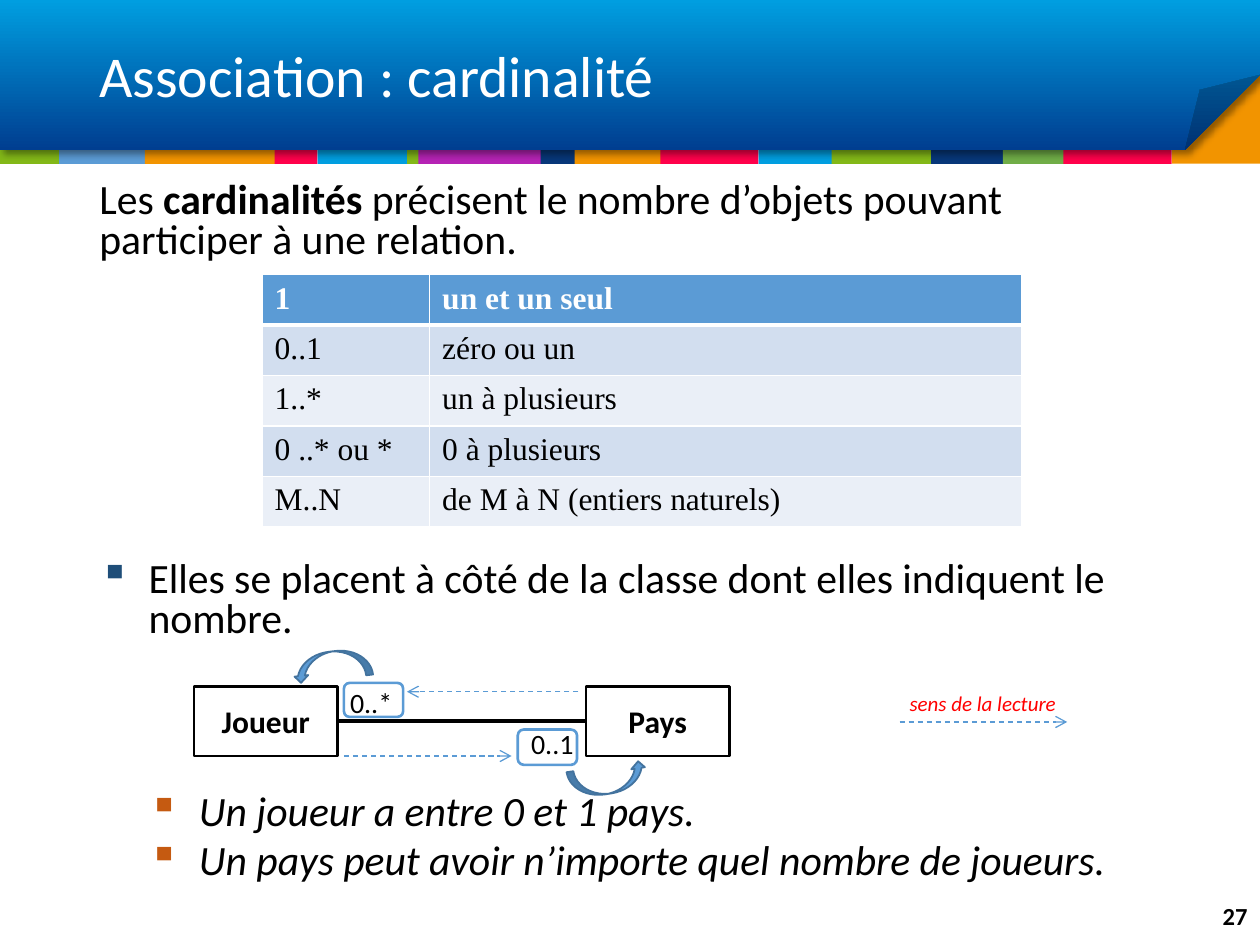
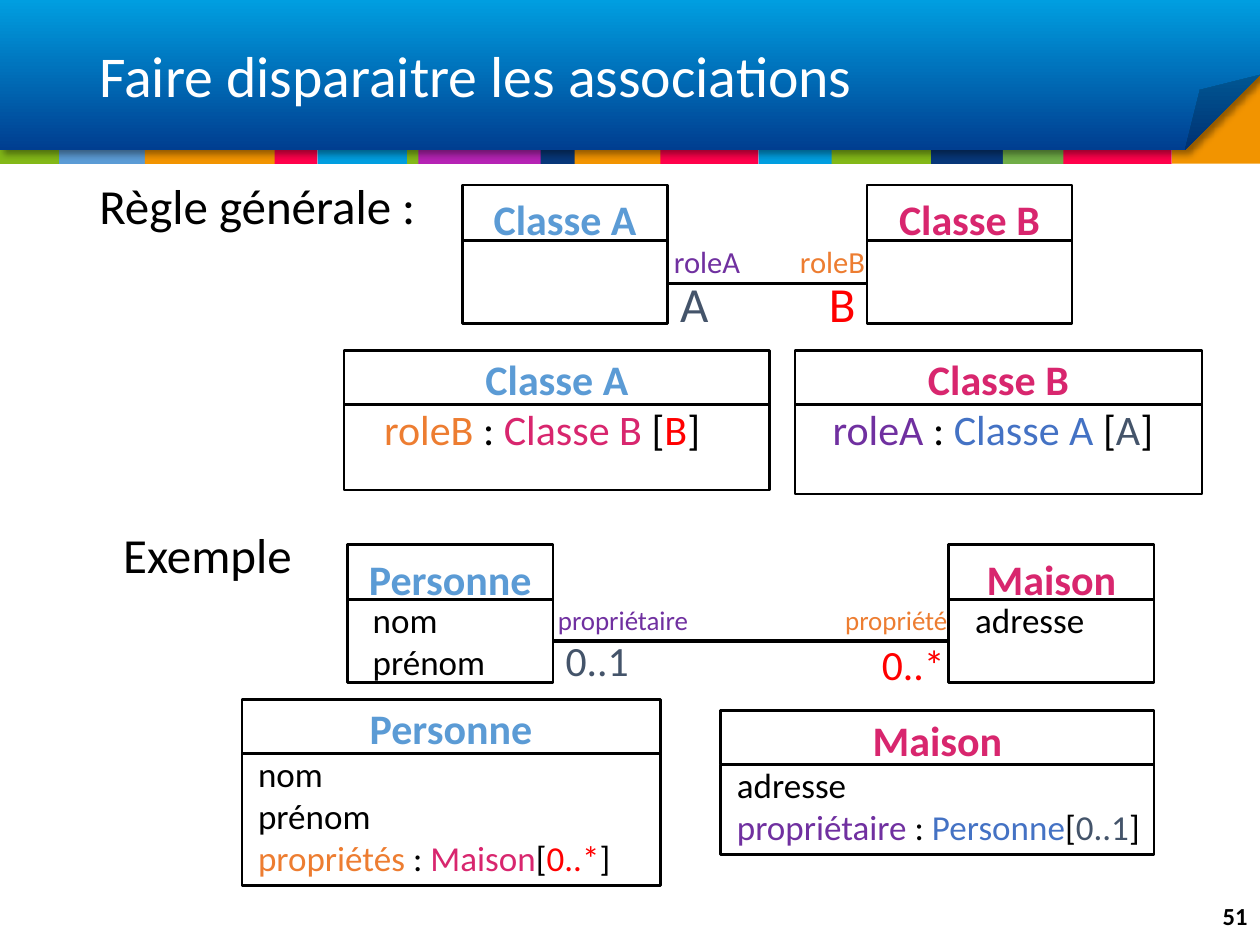
from dataclasses import dataclass

from lxml.etree import SubElement
from pptx import Presentation
from pptx.dml.color import RGBColor
from pptx.enum.dml import MSO_LINE
from pptx.enum.shapes import MSO_CONNECTOR, MSO_SHAPE
from pptx.enum.text import MSO_ANCHOR, PP_ALIGN
from pptx.oxml.ns import qn
from pptx.util import Inches, Pt


@dataclass(frozen=True)
class Theme:
    font: str = "Calibri"
    table_font: str = "Times New Roman"
    black: str = "000000"
    white: str = "FFFFFF"
    red: str = "FF0000"
    sky: str = "5B9BD5"
    sky_edge: str = "43739E"
    pink: str = "D8266E"
    purple: str = "7030A0"
    orange: str = "ED7D31"
    blue: str = "4472C4"
    slate: str = "44546A"
    navy_bullet: str = "1F4E79"
    rust_bullet: str = "C55A11"
    row_dark: str = "D2DEEF"
    row_light: str = "EAEFF7"
    banner_top: str = "009EE0"
    banner_bottom: str = "003E90"
    band_green: str = "83B818"
    band_orange: str = "F29400"
    band_red: str = "FF014B"
    band_purple: str = "B523B4"
    band_navy: str = "073779"
    band_leaf: str = "70AD47"
    title: float = 33
    heading: float = 28
    body: float = 23.8
    class_name: float = 24
    attribute: float = 20
    label: float = 18
    role: float = 17.5
    small_role: float = 15.4
    cardinality: float = 16
    page: float = 14
    caption: float = 12


T = Theme()


def add_text(slide, box, paragraphs, size, align=PP_ALIGN.LEFT, bold=False, italic=False,
             spacing=None, gap=0, anchor=MSO_ANCHOR.TOP, bullet=None):
    """Each paragraph is a list of (text, colour) or (text, colour, bold) runs;
    bullet is (left indent, hanging indent, colour)."""
    frame = slide.shapes.add_textbox(*map(Inches, box)).text_frame
    frame.word_wrap = True
    frame.vertical_anchor = anchor
    for index, runs in enumerate(paragraphs):
        paragraph = frame.paragraphs[0] if index == 0 else frame.add_paragraph()
        if bullet:
            left, hanging, bullet_color = bullet
            props = paragraph._p.get_or_add_pPr()
            props.set("marL", str(Inches(left)))
            props.set("indent", str(-Inches(hanging)))
            SubElement(SubElement(props, qn("a:buClr")), qn("a:srgbClr"), val=bullet_color)
            SubElement(props, qn("a:buChar"), char="▪")
        paragraph.alignment = align
        if spacing:
            paragraph.line_spacing = spacing
        if index and gap:
            paragraph.space_before = Pt(gap)
        for text, color, *strong in runs:
            run = paragraph.add_run()
            run.text = text
            run.font.name = T.font
            run.font.size = Pt(size)
            run.font.bold = bold or bool(strong)
            run.font.italic = italic
            run.font.color.rgb = RGBColor.from_string(color)


def add_shape(slide, kind, box, fill=None, line=None, width=1.5, rotation=0):
    shape = slide.shapes.add_shape(kind, *map(Inches, box))
    shape.shadow.inherit = False
    shape.rotation = rotation
    if fill:
        shape.fill.solid()
        shape.fill.fore_color.rgb = RGBColor.from_string(fill)
    else:
        shape.fill.background()
    if line:
        shape.line.color.rgb = RGBColor.from_string(line)
        shape.line.width = Pt(width)
    else:
        shape.line.fill.background()
    return shape


deck = Presentation()
deck.slide_width, deck.slide_height = Inches(10), Inches(7.5)
blank = deck.slide_layouts[6]
cardinality = deck.slides.add_slide(blank)
associations = deck.slides.add_slide(blank)

# Shared header, title and page number
bands = [
    (2.97, 0.51, T.band_green), (0, 0.51, T.band_green), (0.47, 0.69, T.sky),
    (1.15, 1.1, T.band_orange), (2.18, 0.34, T.band_red), (2.52, 0.71, T.banner_top),
    (3.32, 1.01, T.band_purple), (4.29, 0.28, T.band_navy), (4.56, 0.71, T.band_orange),
    (5.24, 0.78, T.band_red), (6.02, 0.61, T.banner_top), (6.6, 0.91, T.band_green),
    (7.39, 0.58, T.band_navy), (7.96, 0.5, T.band_leaf), (8.44, 0.86, T.band_red),
]
for slide, title, page in [(cardinality, "Association : cardinalité", "27"),
                           (associations, "Faire disparaitre les associations", "51")]:
    for left, width, color in bands:
        add_shape(slide, MSO_SHAPE.RECTANGLE, (left, 0.81, width, 0.49), color)
    add_shape(slide, MSO_SHAPE.RECTANGLE, (9.3, 0.47, 0.7, 0.83), T.band_orange)

    banner = add_shape(slide, MSO_SHAPE.FOLDED_CORNER, (0, 0, 10, 1.19))
    banner_props = banner._element.spPr
    fold = banner_props.find(qn("a:prstGeom")).get_or_add_avLst()
    SubElement(fold, qn("a:gd"), name="adj", fmla="val 50000")
    banner.fill.gradient()
    banner.fill.gradient_angle = 270
    for stop, color in zip(banner.fill.gradient_stops, (T.banner_top, T.banner_bottom)):
        stop.color.rgb = RGBColor.from_string(color)
    shadow = SubElement(banner_props.find(qn("a:effectLst")), qn("a:outerShdw"),
                        blurRad=str(Pt(4)), dist=str(Pt(3)),
                        dir="2700000", algn="tl", rotWithShape="0")
    shade = SubElement(shadow, qn("a:srgbClr"), val=T.black)
    SubElement(shade, qn("a:alpha"), val="40000")

    add_text(slide, (0.69, 0.25, 8.62, 0.75), [[(title, T.white)]], T.title,
             spacing=0.9, anchor=MSO_ANCHOR.MIDDLE)
    add_text(slide, (9.31, 7.07, 0.69, 0.4), [[(page, T.black)]], T.page,
             PP_ALIGN.RIGHT, bold=True, anchor=MSO_ANCHOR.MIDDLE)

# Cardinality: definition and rules
add_text(cardinality, (0.69, 1.4, 8.62, 0.75), [[
    ("Les ", T.black), ("cardinalités ", T.black, True),
    ("précisent le nombre d’objets pouvant participer à une relation.", T.black),
]], T.body, spacing=0.8)
add_text(cardinality, (0.69, 4.41, 8.62, 0.75), [[
    ("Elles se placent à côté de la classe dont elles indiquent le nombre.", T.black),
]], T.body, spacing=0.8, bullet=(0.39, 0.39, T.navy_bullet))
add_text(cardinality, (0.69, 6.26, 8.62, 0.85), [
    [("Un joueur a entre 0 et 1 pays.", T.black)],
    [("Un pays peut avoir n’importe quel nombre de joueurs.", T.black)],
], T.body, italic=True, spacing=0.8, gap=4.76, bullet=(0.79, 0.4, T.rust_bullet))

# Cardinality: notation table
notations = [
    ("1", "un et un seul"),
    ("0..1", "zéro ou un"),
    ("1..*", "un à plusieurs"),
    ("0 ..* ou *", "0 à plusieurs"),
    ("M..N", "de M à N (entiers naturels)"),
]
notation_table = cardinality.shapes.add_table(
    len(notations), 2, Inches(2.08), Inches(2.18), Inches(6.03), Inches(2)).table
for column, width in zip(notation_table.columns, (1.33, 4.7)):
    column.width = Inches(width)
for row, texts in enumerate(notations):
    notation_table.rows[row].height = Inches(0.4)
    row_fill = T.sky if row == 0 else (T.row_light, T.row_dark)[row % 2]
    for col, text in enumerate(texts):
        cell = notation_table.cell(row, col)
        cell_props = cell._tc.get_or_add_tcPr()
        for side in "LRTB":
            thick = (row, side) in ((0, "B"), (1, "T"))
            border = SubElement(cell_props, qn(f"a:ln{side}"), w=str(Pt(3 if thick else 1)))
            SubElement(SubElement(border, qn("a:solidFill")), qn("a:srgbClr"), val=T.white)
        cell.fill.solid()
        cell.fill.fore_color.rgb = RGBColor.from_string(row_fill)
        run = cell.text_frame.paragraphs[0].add_run()
        run.text = text
        run.font.name = T.table_font
        run.font.size = Pt(T.label)
        run.font.bold = row == 0
        run.font.color.rgb = RGBColor.from_string(T.white if row == 0 else T.black)

# Cardinality: player and country diagram
for name, left in [("Joueur", 1.54), ("Pays", 4.65)]:
    add_shape(cardinality, MSO_SHAPE.RECTANGLE, (left, 5.45, 1.14, 0.55), line=T.black)
    add_text(cardinality, (left, 5.52, 1.14, 0.4), [[(name, T.black)]], T.label,
             PP_ALIGN.CENTER, bold=True)
add_text(cardinality, (2.68, 5.39, 0.9, 0.37), [[("0..*", T.black)]], T.cardinality)
add_text(cardinality, (3.58, 5.72, 1.07, 0.37), [[("0..1", T.black)]], T.cardinality,
         PP_ALIGN.RIGHT)
for frame_box in [(4.11, 5.79, 0.47, 0.28), (2.73, 5.42, 0.47, 0.27)]:
    add_shape(cardinality, MSO_SHAPE.ROUNDED_RECTANGLE, frame_box, line=T.sky)
for left, top, angle in [(4.51, 6.08, 351.3), (2.32, 5.17, 173.4)]:
    add_shape(cardinality, MSO_SHAPE.CURVED_UP_ARROW, (left, top, 0.63, 0.22),
              T.sky, T.sky_edge, 1, angle)
add_text(cardinality, (7.06, 5.43, 1.48, 0.3), [[("sens de la lecture", T.red)]],
         T.caption, PP_ALIGN.CENTER, italic=True)

# Associations: section headings
for heading, left, top in [("Règle générale :", 0.69, 1.4), ("Exemple", 0.88, 4.17)]:
    add_text(associations, (left, top, 2.8, 0.81), [[(heading, T.black)]], T.heading,
             spacing=0.9)

# Associations: class boxes as name, colour, left, top, width, name height,
# body height, name offset, attribute indent, attribute size, attributes
nom, prenom, adresse = ([(word, T.black)] for word in ("nom", "prénom", "adresse"))
role_b = [("roleB ", T.orange), (":", T.black), (" Classe B ", T.pink),
          ("[", T.black), ("B", T.red), ("]", T.black)]
role_a = [("roleA ", T.purple), (":", T.black), (" Classe A ", T.blue),
          ("[", T.black), ("A", T.slate), ("]", T.black)]
proprietes = [("propriétés ", T.orange), (":", T.black), (" Maison", T.pink),
              ("[", T.black), ("0..*", T.red), ("]", T.black)]
proprietaire = [("propriétaire ", T.purple), (":", T.black), (" Personne", T.blue),
                ("[", T.black), ("0..1", T.slate), ("]", T.black)]
classes = [
    ("Classe A", T.sky, 3.67, 1.47, 1.63, 0.44, 0.66, 0.02, 0, 0, []),
    ("Classe B", T.pink, 6.88, 1.47, 1.63, 0.44, 0.66, 0.02, 0, 0, []),
    ("Classe A", T.sky, 2.73, 2.78, 3.38, 0.43, 0.68, -0.02, 0.22, T.class_name, [role_b]),
    ("Classe B", T.pink, 6.31, 2.78, 3.23, 0.43, 0.71, -0.02, 0.2, T.class_name, [role_a]),
    ("Personne", T.sky, 2.76, 4.32, 1.63, 0.44, 0.66, 0.02, 0.1, T.attribute, [nom, prenom]),
    ("Maison", T.pink, 7.53, 4.32, 1.63, 0.44, 0.66, 0.02, 0.11, T.attribute, [adresse]),
    ("Personne", T.sky, 1.92, 5.55, 3.32, 0.43, 1.05, -0.02, 0.03, T.attribute,
     [nom, prenom, proprietes]),
    ("Maison", T.pink, 5.72, 5.64, 3.44, 0.43, 0.71, -0.02, 0.03, T.attribute,
     [adresse, proprietaire]),
]
for (name, color, left, top, width, name_height, body_height,
     offset, indent, size, attributes) in classes:
    split = top + name_height
    for box_top, height in [(top, name_height), (split, body_height)]:
        add_shape(associations, MSO_SHAPE.RECTANGLE, (left, box_top, width, height),
                  T.white, T.black)
    add_text(associations, (left, top + offset, width, 0.5), [[(name, color)]],
             T.class_name, PP_ALIGN.CENTER, bold=True)
    if attributes:
        add_text(associations, (left + indent, split - 0.06, width + 0.05, body_height),
                 attributes, size)

# Associations: roles and cardinalities at the line ends
for text, color, left, top, width, size, spacing in [
    ("A", T.slate, 5.3, 2.21, 0.47, T.heading, 0.8),
    ("B", T.red, 6.48, 2.21, 0.47, T.heading, 0.8),
    ("roleA", T.purple, 5.25, 1.96, 0.77, T.role, 0.7),
    ("roleB", T.orange, 6.25, 1.96, 0.77, T.role, 0.7),
    ("0..1", T.slate, 4.39, 5.1, 0.75, T.body, 0.7),
    ("0..*", T.red, 6.9, 5.1, 0.75, T.body, 0.8),
    ("propriétaire", T.purple, 4.33, 4.81, 1.3, T.small_role, 0.7),
    ("propriété", T.orange, 6.61, 4.81, 1.07, T.small_role, 0.7),
]:
    add_text(associations, (left, top, width, 0.5), [[(text, color)]], size, spacing=spacing)

# Association lines and dashed reading arrows
for slide, start, end, y, is_arrow in [
    (cardinality, 2.68, 4.65, 5.72, False),
    (cardinality, 2.73, 4.06, 6, True),
    (cardinality, 4.59, 3.23, 5.49, True),
    (cardinality, 7.14, 8.47, 5.73, True),
    (associations, 5.3, 6.88, 2.25, False),
    (associations, 4.39, 7.53, 5.09, False),
]:
    link = slide.shapes.add_connector(MSO_CONNECTOR.STRAIGHT, *map(Inches, (start, y, end, y)))
    link.line.color.rgb = RGBColor.from_string(T.sky if is_arrow else T.black)
    link.line.width = Pt(0.75 if is_arrow else 2.25)
    if is_arrow:
        link.line.dash_style = MSO_LINE.DASH
        SubElement(link.line._get_or_add_ln(), qn("a:tailEnd"), type="arrow")
    SubElement(link._element.spPr, qn("a:effectLst"))

deck.save("out.pptx")
